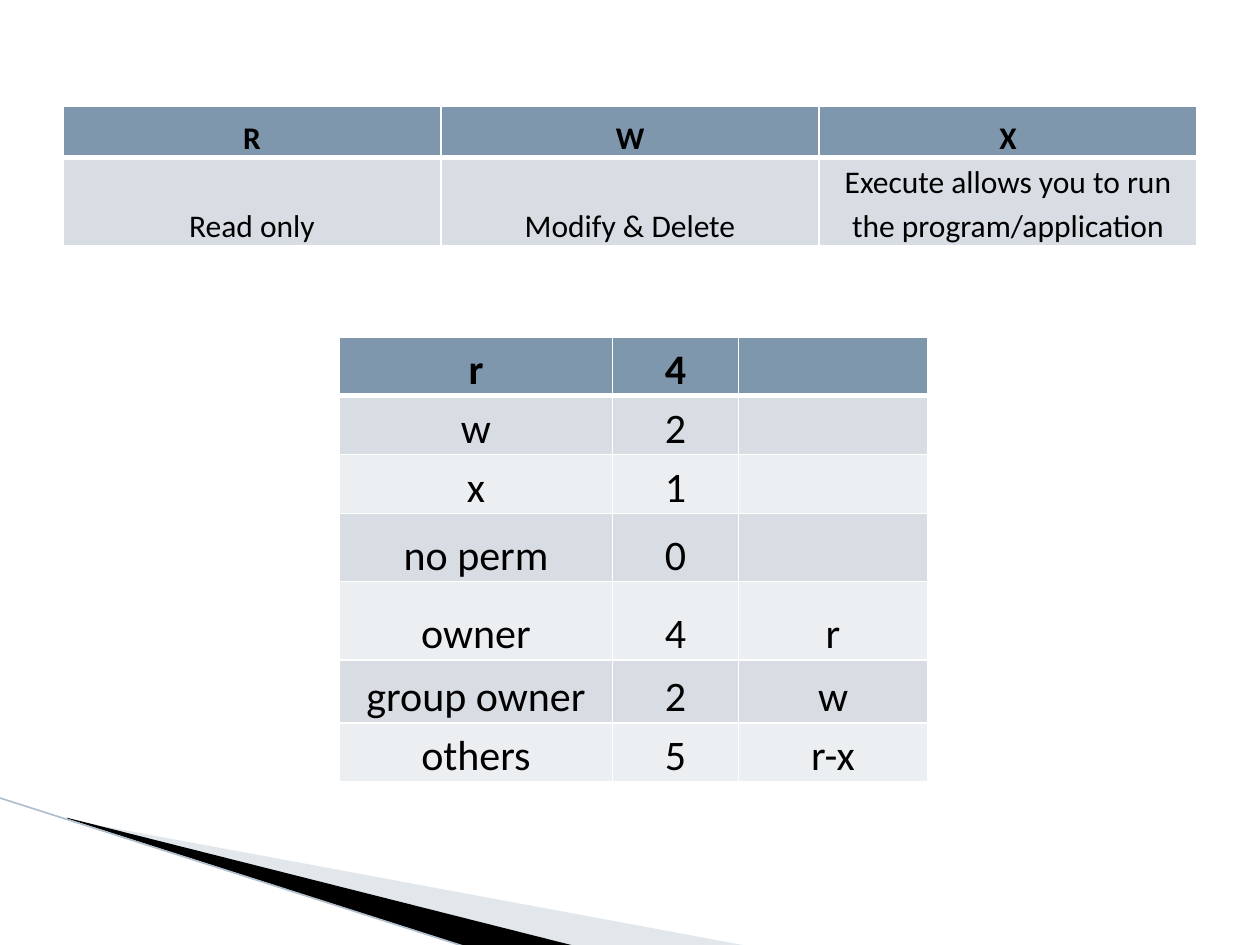
import pptx
import pptx.dml.color
import pptx.enum.shapes
import pptx.enum.text
import pptx.oxml.ns
import pptx.util
import lxml.etree

Pt = pptx.util.Pt
RGBColor = pptx.dml.color.RGBColor
qn = pptx.oxml.ns.qn

BLACK = RGBColor(0x00, 0x00, 0x00)
WHITE = RGBColor(0xFF, 0xFF, 0xFF)
HEADER = RGBColor(0x7E, 0x97, 0xAD)
BAND_DARK = RGBColor(0xD8, 0xDD, 0xE3)
BAND_LIGHT = RGBColor(0xEC, 0xEF, 0xF1)
SWOOSH = RGBColor(0xB7, 0xC4, 0xD0)
EDGE = RGBColor(0xB1, 0xBE, 0xCB)


class SlideBuilder:
    font = "Calibri"
    line_spacing = 1.15
    margin = 5.04

    def __init__(self, slide):
        self.s = slide

    def wedge(self, points, color, alpha=None):
        pts = [(Pt(x), Pt(y)) for x, y in points]
        fb = self.s.shapes.build_freeform(*pts[0], scale=1.0)
        fb.add_line_segments(pts[1:], close=True)
        sp = fb.convert_to_shape()
        sp.shadow.inherit = False
        sp.line.fill.background()
        sp.fill.solid()
        sp.fill.fore_color.rgb = color
        if alpha is not None:
            clr = sp.fill._xPr.find(qn("a:solidFill"))[0]
            lxml.etree.SubElement(clr, qn("a:alpha"), val=str(alpha * 1000))

    def line(self, x1, y1, x2, y2, color, width):
        c = self.s.shapes.add_connector(
            pptx.enum.shapes.MSO_CONNECTOR.STRAIGHT, Pt(x1), Pt(y1), Pt(x2), Pt(y2))
        c.line.color.rgb = color
        c.line.width = Pt(width)
        lxml.etree.SubElement(c._element.spPr, qn("a:effectLst"))

    def border(self, cell, side, width):
        ln = lxml.etree.SubElement(
            cell._tc.get_or_add_tcPr(), qn("a:ln" + side), w=str(Pt(width)))
        fill = lxml.etree.SubElement(ln, qn("a:solidFill"))
        lxml.etree.SubElement(fill, qn("a:srgbClr"), val=str(WHITE))

    def cell(self, cell, text, row, size):
        heavy = {0: "B", 1: "T"}.get(row)
        for side in "LRTB":
            self.border(cell, side, 3 if side == heavy else 1)
        cell.fill.solid()
        cell.fill.fore_color.rgb = (
            HEADER if row == 0 else BAND_DARK if row % 2 else BAND_LIGHT)
        cell.margin_left = cell.margin_right = Pt(self.margin)
        cell.margin_top = cell.margin_bottom = 0
        cell.vertical_anchor = pptx.enum.text.MSO_ANCHOR.BOTTOM
        if not text:
            return
        p = cell.text_frame.paragraphs[0]
        p.text = text
        p.alignment = pptx.enum.text.PP_ALIGN.CENTER
        p.line_spacing = self.line_spacing
        for r in p.runs:
            r.font.name = self.font
            r.font.size = Pt(size)
            r.font.bold = row == 0
            r.font.color.rgb = BLACK

    def table(self, x, y, widths, heights, rows, size):
        tbl = self.s.shapes.add_table(
            len(rows), len(widths), Pt(x), Pt(y),
            Pt(sum(widths)), Pt(sum(heights))).table
        for col, w in zip(tbl.columns, widths):
            col.width = Pt(w)
        for i, (row, h) in enumerate(zip(rows, heights)):
            tbl.rows[i].height = Pt(h)
            for j, text in enumerate(row):
                self.cell(tbl.cell(i, j), text, i, size)


def main():
    prs = pptx.Presentation()
    prs.slide_width, prs.slide_height = Pt(720), Pt(540)
    b = SlideBuilder(prs.slides.add_slide(prs.slide_layouts[6]))

    b.wedge([(39.6, 468.5), (428.4, 540.7), (328.3, 540.7), (39.6, 468)], SWOOSH, 40)
    b.wedge([(38.2, 467.3), (329, 540.7), (267.8, 541.4), (38.9, 468)], BLACK)
    b.line(-0.7, 455.8, 267.1, 541.4, EDGE, 0.95)

    b.table(36, 60.8, [216] * 3, [29.2, 29.2], [
        ("R", "W", "X"),
        ("Read only", "Modify & Delete",
         "Execute allows you to run the program/application"),
    ], 18)

    b.table(194, 192.5, [156, 72, 108], [32.4, 32.4, 32.4, 38.9, 44.6, 36, 32.4], [
        ("r", "4", ""),
        ("w", "2", ""),
        ("x", "1", ""),
        ("no perm", "0", ""),
        ("owner", "4", "r"),
        ("group owner", "2", "w"),
        ("others", "5", "r-x"),
    ], 24)

    prs.save("out.pptx")


if __name__ == "__main__":
    main()
